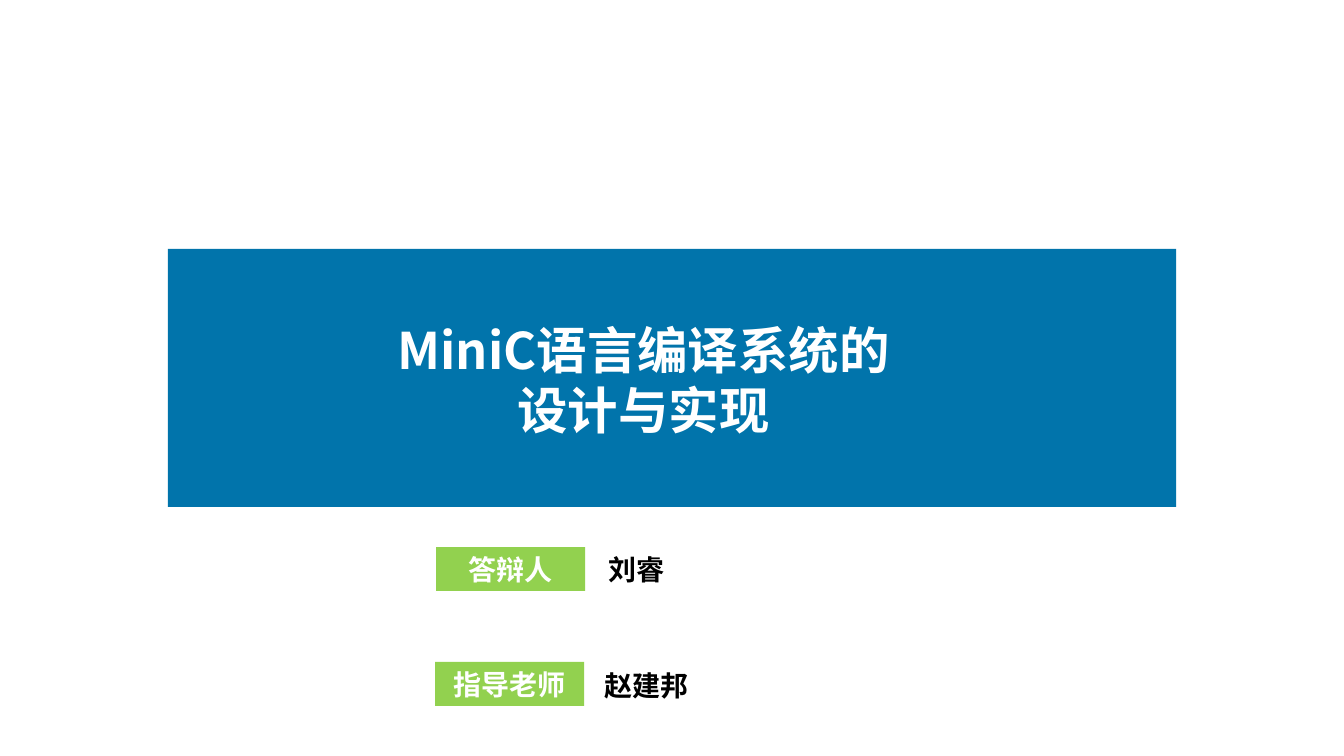
from pptx import Presentation
from pptx.dml.color import RGBColor
from pptx.enum.shapes import MSO_SHAPE
from pptx.enum.text import MSO_ANCHOR, PP_ALIGN
from pptx.oxml.ns import qn
from pptx.util import Emu, Inches, Pt

RECTANGLE = MSO_SHAPE.RECTANGLE
TOP, MIDDLE = MSO_ANCHOR.TOP, MSO_ANCHOR.MIDDLE
LEFT, CENTER = PP_ALIGN.LEFT, PP_ALIGN.CENTER

FONT = "Noto Sans CJK SC"
BLUE, GREEN, WHITE, BLACK = "0174AB", "92D14F", "FFFFFF", "000000"
EMU_PER_PX = 914400 / 100.8

# Boxes are (left, top, width, height) in px
BANNER_BOX = (168, 249, 1008, 258)
TITLE = "MiniC语言编译系统的设计与实现"
TITLE_BOX = (383, 314, 521, 234)
PEOPLE = [
    ("答辩人", (436, 547, 149, 44), "刘睿", (598, 548, 177, 44)),
    ("指导老师", (435, 662, 149, 44), "赵建邦", (594, 664, 222, 44)),
]


def color(hex_string):
    return RGBColor.from_string(hex_string)


def emu(box):
    return [Emu(round(length * EMU_PER_PX)) for length in box]


def add_rectangle(slide, box, fill):
    shape = slide.shapes.add_shape(RECTANGLE, *emu(box))
    shape.shadow.inherit = False
    shape.fill.solid()
    shape.fill.fore_color.rgb = color(fill)
    shape.line.fill.background()
    return shape


def write(shape, text, size, text_color, alignment, anchor):
    frame = shape.text_frame
    frame.word_wrap = True
    frame.vertical_anchor = anchor
    paragraph = frame.paragraphs[0]
    paragraph.text = text
    paragraph.alignment = alignment
    font = paragraph.font
    font.name, font.size, font.bold = FONT, Pt(size), True
    font.color.rgb = color(text_color)
    # East Asian characters take their font from a:ea
    east_asian = font._element.makeelement(qn("a:ea"), {"typeface": FONT})
    font._element.append(east_asian)


def add_text(slide, box, text, size, text_color, alignment):
    write(slide.shapes.add_textbox(*emu(box)), text, size, text_color, alignment, TOP)


def main():
    presentation = Presentation()
    presentation.slide_width, presentation.slide_height = Inches(13.33), Inches(7.5)
    slide = presentation.slides.add_slide(presentation.slide_layouts[6])

    add_rectangle(slide, BANNER_BOX, BLUE)
    add_text(slide, TITLE_BOX, TITLE, 36, WHITE, CENTER)
    for role, role_box, person, person_box in PEOPLE:
        add_text(slide, person_box, person, 20, BLACK, LEFT)
        label = add_rectangle(slide, role_box, GREEN)
        write(label, role, 20, WHITE, CENTER, MIDDLE)

    presentation.save("out.pptx")


if __name__ == "__main__":
    main()
